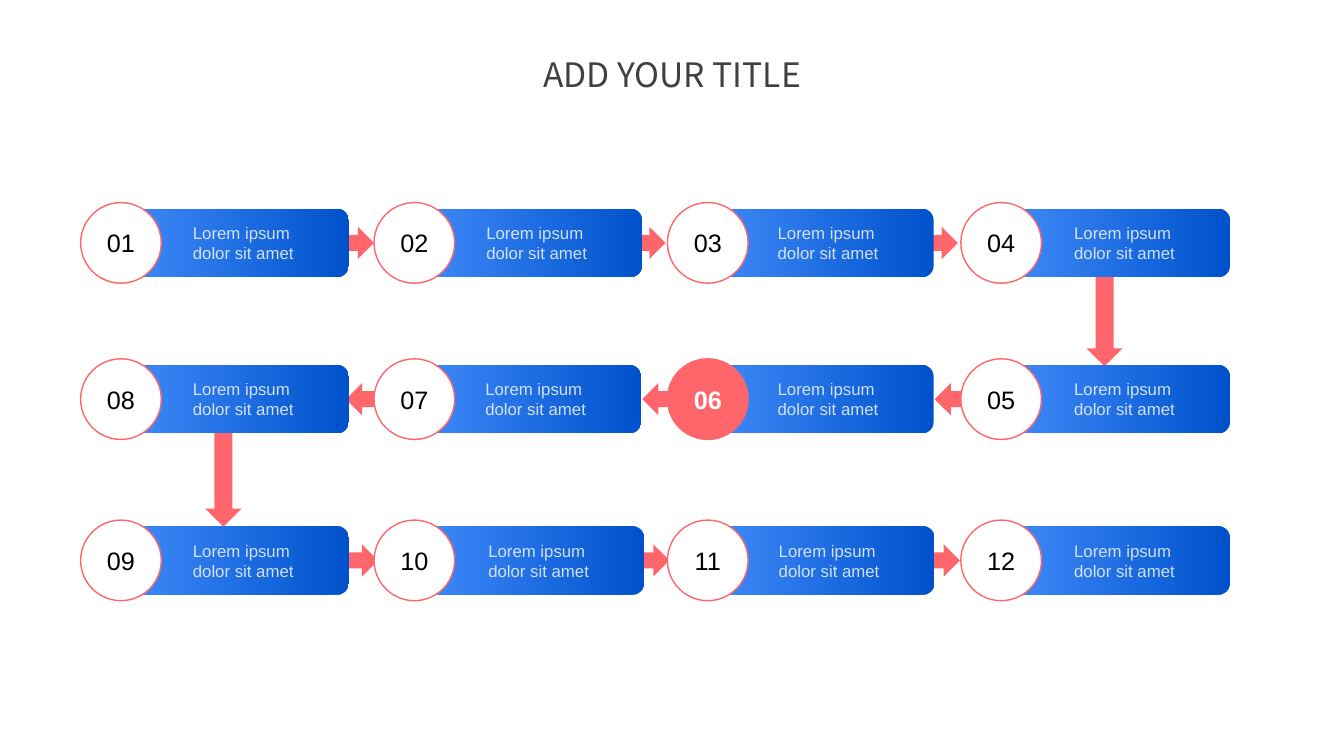
from dataclasses import dataclass

from lxml import etree
from pptx import Presentation
from pptx.dml.color import RGBColor
from pptx.enum.shapes import MSO_SHAPE
from pptx.enum.text import MSO_ANCHOR, MSO_AUTO_SIZE, PP_ALIGN
from pptx.oxml.ns import qn
from pptx.shapes.autoshape import Shape
from pptx.slide import Slide
from pptx.util import Inches, Pt

RIGHT_ARROW = MSO_SHAPE.RIGHT_ARROW
ROUNDED_RECTANGLE = MSO_SHAPE.ROUNDED_RECTANGLE
OVAL = MSO_SHAPE.OVAL
MIDDLE = MSO_ANCHOR.MIDDLE
CENTER = PP_ALIGN.CENTER
LEFT = PP_ALIGN.LEFT
NO_AUTOFIT = MSO_AUTO_SIZE.NONE


@dataclass(frozen=True)
class Theme:
    accent: RGBColor = RGBColor.from_string("FF666C")
    bar_light: RGBColor = RGBColor.from_string("4791FF")
    bar_dark: RGBColor = RGBColor.from_string("0052CC")
    white: RGBColor = RGBColor.from_string("FFFFFF")
    black: RGBColor = RGBColor.from_string("000000")
    title: RGBColor = RGBColor.from_string("404040")
    body_font: str = "Arial"
    title_font: str = "Noto Sans CJK TC"
    title_size: int = 24
    number_size: int = 18
    label_size: int = 12
    label_opacity: int = 80


@dataclass(frozen=True)
class StepRow:
    top: float
    numbers: tuple[int, ...]
    bar_lefts: tuple[float, ...]
    arrow_lefts: tuple[float, ...]
    arrow_rotation: int = 0


@dataclass(frozen=True)
class Arrow:
    left: float
    top: float
    width: float
    height: float
    rotation: int


THEME = Theme()
LABEL = "Lorem ipsum dolor sit amet"
HIGHLIGHTED_STEP = 6
CIRCLE_LEFT, CIRCLE_PITCH, CIRCLE_SIZE = 0.8, 2.91, 0.8
BAR_WIDTH, BAR_HEIGHT = 2.48, 0.68
ARROW_WIDTH, ARROW_HEIGHT = 0.41, 0.32

ROWS = (
    StepRow(2.01, (1, 2, 3, 4), (0.98, 3.89, 6.78, 9.72), (3.3, 6.19, 9.09)),
    StepRow(3.56, (8, 7, 6, 5), (0.98, 3.88, 6.78, 9.72), (3.43, 6.37, 9.27), 180),
    StepRow(5.16, (9, 10, 11, 12), (0.98, 3.91, 6.79, 9.72), (3.34, 6.23, 9.11)),
)
DOWN_ARROWS = (
    Arrow(1.64, 4.47, 1.15, 0.36, 90),
    Arrow(10.38, 2.88, 1.15, 0.36, 90),
)


def centered_top(row: StepRow, height: float) -> float:
    return row.top + (CIRCLE_SIZE - height) / 2


def add_plain_shape(
    slide: Slide, kind: MSO_SHAPE, left: float, top: float, width: float, height: float
) -> Shape:
    shape = slide.shapes.add_shape(
        kind, Inches(left), Inches(top), Inches(width), Inches(height)
    )
    shape.shadow.inherit = False
    shape.line.fill.background()
    return shape


def add_arrow(slide: Slide, arrow: Arrow) -> None:
    shape = add_plain_shape(
        slide, RIGHT_ARROW, arrow.left, arrow.top, arrow.width, arrow.height
    )
    shape.rotation = arrow.rotation
    shape.fill.solid()
    shape.fill.fore_color.rgb = THEME.accent


def add_bar(slide: Slide, left: float, top: float) -> None:
    shape = add_plain_shape(slide, ROUNDED_RECTANGLE, left, top, BAR_WIDTH, BAR_HEIGHT)
    shape.fill.gradient()
    shape.fill.gradient_angle = 180
    for stop, color in zip(shape.fill.gradient_stops, (THEME.bar_dark, THEME.bar_light)):
        stop.color.rgb = color

    frame = shape.text_frame
    frame.word_wrap = True
    frame.vertical_anchor = MIDDLE
    frame.margin_left = frame.margin_right = Inches(0.27)
    frame.margin_top = frame.margin_bottom = Inches(0.13)
    paragraph = frame.paragraphs[0]
    paragraph.text = LABEL
    paragraph.alignment = LEFT
    properties = paragraph._p.get_or_add_pPr()
    properties.set("marL", str(Inches(0.63)))
    properties.set("indent", "0")
    paragraph.font.name = THEME.body_font
    paragraph.font.size = Pt(THEME.label_size)
    paragraph.font.color.rgb = THEME.white
    for color in properties.iter(qn("a:srgbClr")):
        alpha = etree.SubElement(color, qn("a:alpha"))
        alpha.set("val", str(THEME.label_opacity * 1000))


def add_circle(slide: Slide, number: int, left: float, top: float) -> None:
    highlighted = number == HIGHLIGHTED_STEP
    shape = add_plain_shape(slide, OVAL, left, top, CIRCLE_SIZE, CIRCLE_SIZE)
    shape.fill.solid()
    shape.fill.fore_color.rgb = THEME.accent if highlighted else THEME.white
    shape.line.color.rgb = THEME.accent
    shape.line.width = Pt(1)

    frame = shape.text_frame
    frame.word_wrap = False
    frame.vertical_anchor = MIDDLE
    paragraph = frame.paragraphs[0]
    paragraph.text = f"{number:02d}"
    paragraph.alignment = CENTER
    paragraph.font.name = THEME.body_font
    paragraph.font.size = Pt(THEME.number_size)
    paragraph.font.bold = highlighted
    paragraph.font.color.rgb = THEME.white if highlighted else THEME.black


def format_title(slide: Slide) -> None:
    title = slide.shapes.title
    title.left, title.top = Inches(5.23), Inches(0.53)
    title.width, title.height = Inches(2.87), Inches(0.46)
    frame = title.text_frame
    frame.word_wrap = False
    frame.auto_size = NO_AUTOFIT
    frame.vertical_anchor = MIDDLE
    paragraph = frame.paragraphs[0]
    paragraph.text = "ADD YOUR TITLE"
    paragraph.alignment = CENTER
    paragraph.line_spacing = 0.9
    paragraph.font.name = THEME.title_font
    paragraph.font.size = Pt(THEME.title_size)
    paragraph.font.color.rgb = THEME.title


def main() -> None:
    presentation = Presentation()
    presentation.slide_width = Inches(13.33)
    presentation.slide_height = Inches(7.5)
    slide = presentation.slides.add_slide(presentation.slide_layouts[5])
    format_title(slide)

    for arrow in DOWN_ARROWS:
        add_arrow(slide, arrow)
    for row in ROWS:
        arrow_top = centered_top(row, ARROW_HEIGHT)
        for left in row.arrow_lefts:
            add_arrow(
                slide,
                Arrow(left, arrow_top, ARROW_WIDTH, ARROW_HEIGHT, row.arrow_rotation),
            )
        for left in row.bar_lefts:
            add_bar(slide, left, centered_top(row, BAR_HEIGHT))
        for column, number in enumerate(row.numbers):
            add_circle(slide, number, CIRCLE_LEFT + column * CIRCLE_PITCH, row.top)

    presentation.save("out.pptx")


if __name__ == "__main__":
    main()
